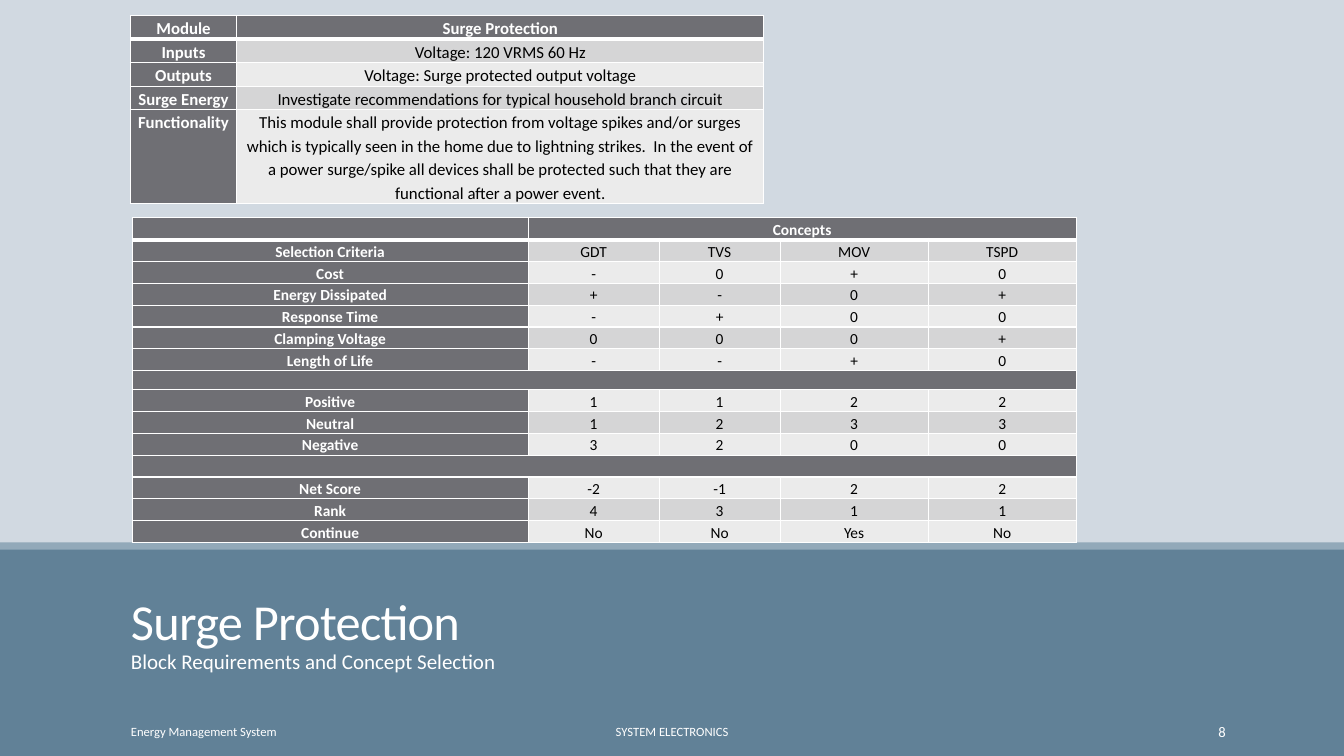
"""Build the surge protection slide with its block needs and concept scores."""
from dataclasses import dataclass

from lxml.etree import SubElement
from pptx import Presentation
from pptx.dml.color import RGBColor
from pptx.enum.shapes import MSO_SHAPE
from pptx.enum.text import MSO_ANCHOR, PP_ALIGN
from pptx.oxml.ns import qn
from pptx.slide import Slide
from pptx.table import _Cell
from pptx.text.text import _Paragraph
from pptx.util import Cm, Pt

RECT = MSO_SHAPE.RECTANGLE
TOP, MIDDLE, BOTTOM = MSO_ANCHOR.TOP, MSO_ANCHOR.MIDDLE, MSO_ANCHOR.BOTTOM
LEFT, CENTER, RIGHT = PP_ALIGN.LEFT, PP_ALIGN.CENTER, PP_ALIGN.RIGHT


@dataclass(frozen=True)
class Theme:
    """Hold the colours and type sizes of the slide."""
    font: str = "Calibri"
    back: str = "D1D9E1"
    band: str = "618197"
    strip: str = "92A9B9"
    head: str = "6F6F74"
    dark: str = "D5D5D6"
    pale: str = "EBEBEB"
    white: str = "FFFFFF"
    black: str = "000000"
    title: float = 36
    lead: float = 15
    foot: float = 9
    page: float = 10.5
    needs: float = 12
    score: float = 11


THEME = Theme()


@dataclass(frozen=True)
class Bar:
    """Describe a full-width bar in centimetres."""
    top: float
    height: float
    fill: str


@dataclass(frozen=True)
class Label:
    """Describe a text box in centimetres."""
    text: str
    left: float
    top: float
    width: float
    height: float
    size: float
    align: PP_ALIGN = LEFT
    anchor: MSO_ANCHOR = MIDDLE
    inset: float = 0.13
    lines: float = 1.0
    track: float = 0


@dataclass(frozen=True)
class Grid:
    """Describe a table, where a short row spans to the last column."""
    left: float
    top: float
    cols: list[float]
    heights: list[float]
    rows: list[list[str]]
    size: float
    anchor: MSO_ANCHOR


WIDTH, HEIGHT = 33.87, 19.05
BARS = [Bar(13.77, 5.28, THEME.band), Bar(13.67, 0.18, THEME.strip)]
LABELS = [
    Label("Surge Protection", 3.05, 14.1, 28.09, 2.29, THEME.title,
          anchor=BOTTOM, inset=0, lines=0.85, track=-0.5),
    Label("Block Requirements and Concept Selection", 3.05, 16.41, 28.09, 1.65,
          THEME.lead, anchor=TOP, inset=0, lines=0.9),
    Label("Energy Management System", 3.05, 17.93, 6.86, 1.02, THEME.foot),
    Label("SYSTEM ELECTRONICS", 10.24, 17.93, 13.39, 1.02, THEME.foot, CENTER),
    Label("8", 27.51, 17.93, 3.63, 1.02, THEME.page, RIGHT),
]
NEEDS = Grid(3.28, 0.4, [2.69, 13.28], [0.59] * 4 + [2.37], [
    ["Module", "Surge Protection"],
    ["Inputs", "Voltage: 120 VRMS 60 Hz"],
    ["Outputs", "Voltage: Surge protected output voltage"],
    ["Surge Energy",
     "Investigate recommendations for typical household branch circuit"],
    ["Functionality",
     "This module shall provide protection from voltage spikes and/or surges "
     "which is typically seen in the home due to lightning strikes.  In the "
     "event of a power surge/spike all devices shall be protected such that "
     "they are functional after a power event."],
], THEME.needs, TOP)
SCORES = Grid(
    3.33, 5.49, [9.98, 3.3, 3.05, 3.73, 3.73],
    [0.55] * 7 + [0.48] + [0.55] * 7, [
        ["", "Concepts"],
        ["Selection Criteria", "GDT", "TVS", "MOV", "TSPD"],
        ["Cost", "-", "0", "+", "0"],
        ["Energy Dissipated", "+", "-", "0", "+"],
        ["Response Time", "-", "+", "0", "0"],
        ["Clamping Voltage", "0", "0", "0", "+"],
        ["Length of Life", "-", "-", "+", "0"],
        [""],
        ["Positive", "1", "1", "2", "2"],
        ["Neutral", "1", "2", "3", "3"],
        ["Negative", "3", "2", "0", "0"],
        [""],
        ["Net Score", "-2", "-1", "2", "2"],
        ["Rank", "4", "3", "1", "1"],
        ["Continue", "No", "No", "Yes", "No"],
    ], THEME.score, BOTTOM)


def add_text(para: _Paragraph, text: str, size: float, color: str,
             bold: bool = False, track: float = 0) -> None:
    """Add one styled run."""
    run = para.add_run()
    run.text = text
    run.font.name = THEME.font
    run.font.size = Pt(size)
    run.font.bold = bold
    run.font.color.rgb = RGBColor.from_string(color)
    if track:
        run._r.get_or_add_rPr().set("spc", str(round(track * 100)))


def draw_bar(slide: Slide, bar: Bar) -> None:
    """Draw a plain bar across the slide."""
    shape = slide.shapes.add_shape(RECT, 0, Cm(bar.top), Cm(WIDTH), Cm(bar.height))
    shape.shadow.inherit = False
    shape.fill.solid()
    shape.fill.fore_color.rgb = RGBColor.from_string(bar.fill)
    shape.line.fill.background()


def draw_label(slide: Slide, label: Label) -> None:
    """Draw a white line of text."""
    box = slide.shapes.add_textbox(Cm(label.left), Cm(label.top),
                                   Cm(label.width), Cm(label.height))
    frame = box.text_frame
    frame.word_wrap = True
    frame.vertical_anchor = label.anchor
    frame.margin_top = frame.margin_bottom = Cm(label.inset)
    para = frame.paragraphs[0]
    para.alignment = label.align
    para.line_spacing = label.lines
    add_text(para, label.text, label.size, THEME.white, track=label.track)


def add_edges(cell: _Cell, row: int) -> None:
    """Rule a cell in white, with a thick line below the top row."""
    props = cell._tc.get_or_add_tcPr()
    for side in "LRTB":
        thick = (row, side) in ((0, "B"), (1, "T"))
        edge = SubElement(props, qn(f"a:ln{side}"), w=str(Pt(3 if thick else 1)))
        fill = SubElement(edge, qn("a:solidFill"))
        SubElement(fill, qn("a:srgbClr"), val=THEME.white)


def fill_cell(cell: _Cell, text: str, row: int, head: bool, grid: Grid) -> None:
    """Style a cell and set its text."""
    add_edges(cell, row)
    shade = THEME.head if head else THEME.dark if row % 2 else THEME.pale
    cell.fill.solid()
    cell.fill.fore_color.rgb = RGBColor.from_string(shade)
    cell.margin_left = cell.margin_right = Cm(0.18)
    cell.margin_top = cell.margin_bottom = 0
    cell.vertical_anchor = grid.anchor
    para = cell.text_frame.paragraphs[0]
    para.alignment = CENTER
    if text:
        para.line_spacing = 1.15
        add_text(para, text, grid.size, THEME.white if head else THEME.black, head)
    else:
        SubElement(para._p, qn("a:endParaRPr"), sz=str(Pt(grid.size).centipoints))


def draw_grid(slide: Slide, grid: Grid) -> None:
    """Draw a table with a dark top row and first column."""
    count = len(grid.cols)
    table = slide.shapes.add_table(
        len(grid.rows), count, Cm(grid.left), Cm(grid.top),
        Cm(sum(grid.cols)), Cm(sum(grid.heights))).table
    for col, width in zip(table.columns, grid.cols):
        col.width = Cm(width)
    for row, (texts, height) in enumerate(zip(grid.rows, grid.heights)):
        table.rows[row].height = Cm(height)
        for col in range(count):
            text = texts[col] if col < len(texts) else ""
            head = row == 0 or col == 0 or len(texts) == 1
            fill_cell(table.cell(row, col), text, row, head, grid)
        if len(texts) < count:
            table.cell(row, len(texts) - 1).merge(table.cell(row, count - 1))


def main() -> None:
    """Build and save the deck."""
    deck = Presentation()
    deck.slide_width, deck.slide_height = Cm(WIDTH), Cm(HEIGHT)
    slide = deck.slides.add_slide(deck.slide_layouts[6])
    slide.background.fill.solid()
    slide.background.fill.fore_color.rgb = RGBColor.from_string(THEME.back)
    for bar in BARS:
        draw_bar(slide, bar)
    for label in LABELS:
        draw_label(slide, label)
    for grid in (NEEDS, SCORES):
        draw_grid(slide, grid)
    deck.save("out.pptx")


if __name__ == "__main__":
    main()
